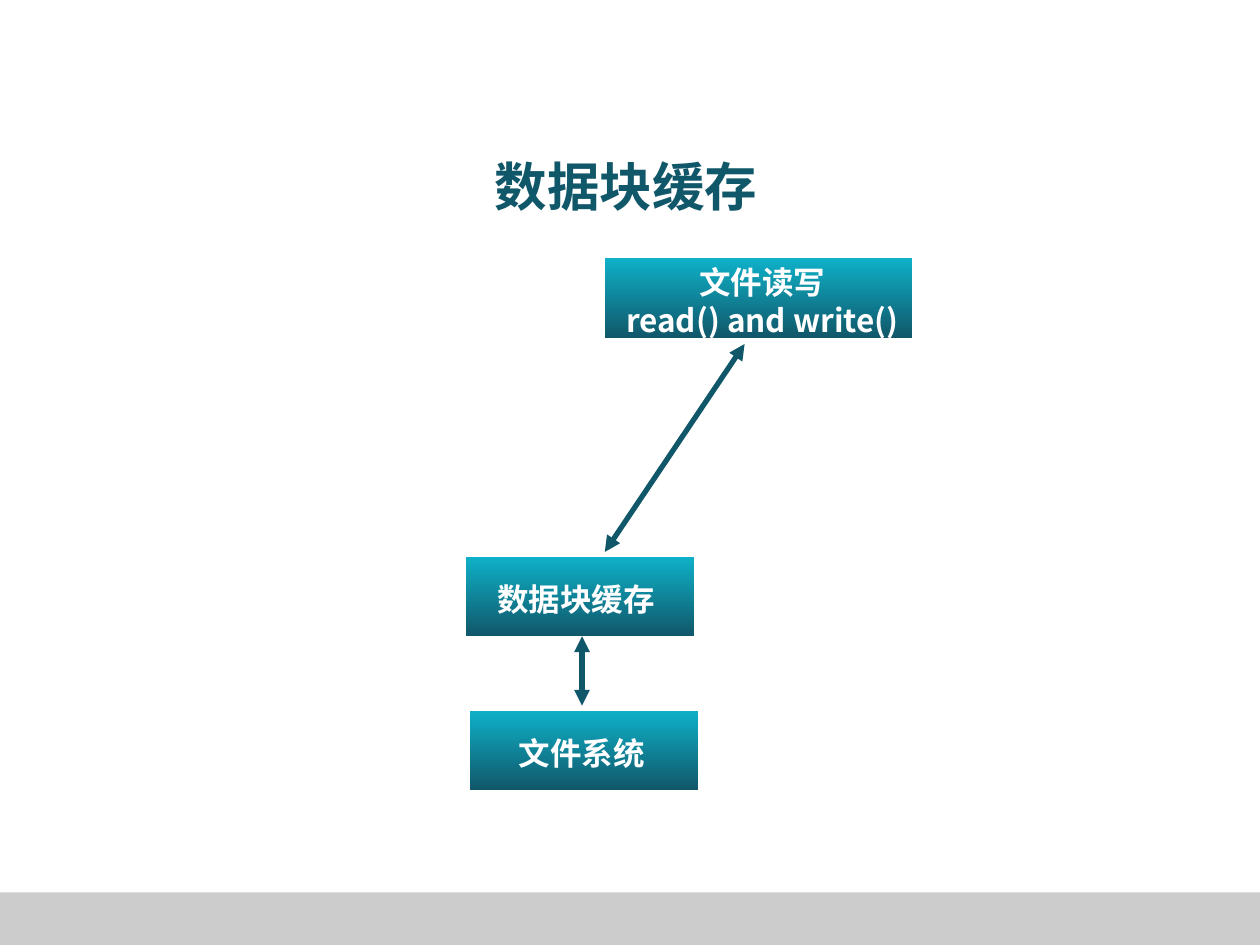
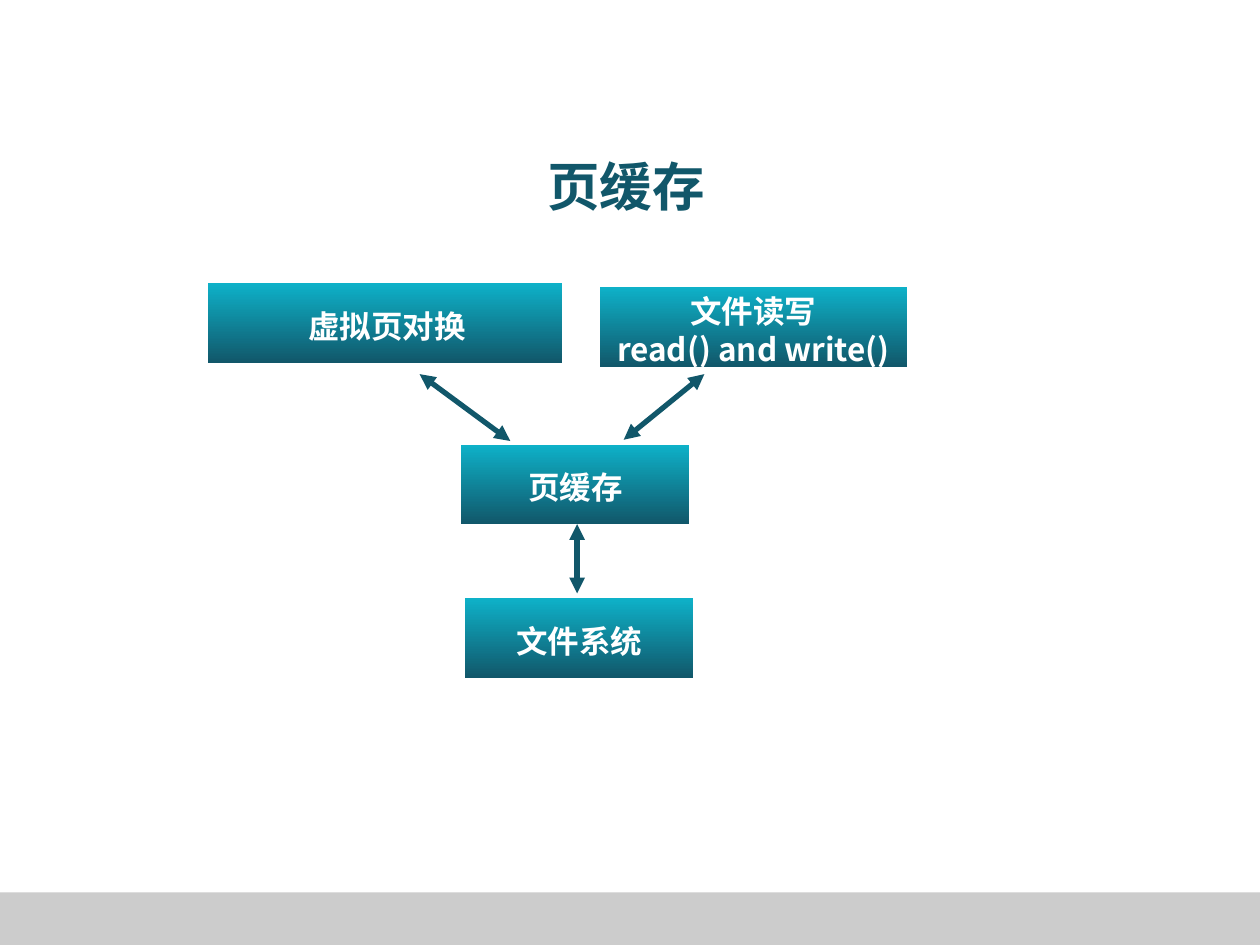
"""Two slides on where the block cache and the page cache sit above the file system."""
import pptx
import pptx.dml.color
import pptx.enum.shapes
import pptx.enum.text
import pptx.oxml
import pptx.oxml.ns
import pptx.util
from lxml import etree

Pt = pptx.util.Pt
FONT = "Noto Sans CJK SC"
COLORS = {"aqua": "0EB1C8", "teal": "11576A", "band": "CCCCCC", "white": "FFFFFF"}
BOX_HEIGHT = 45.4
NARROW, MEDIUM, WIDE = 130.3, 175.7, 202.3
LINE_PITCH = 21.7
READ_WRITE = "文件读写\nread() and write()"

SLIDES = [
    {
        "title": "数据块缓存",
        "boxes": [
            (345.6, 147.6, MEDIUM, READ_WRITE, 2.2),
            (268.6, 406.1, NARROW, "文件系统", -1.4),
            (266.4, 318.2, NARROW, "数据块缓存", -2.5),
        ],
        "arrows": [(332.6, 363.6, 332.6, 403.2), (425.5, 196.6, 345.6, 315.4)],
    },
    {
        "title": "页缓存",
        "boxes": [
            (118.8, 162, WIDE, "虚拟页对换", 1.1),
            (342.7, 164.2, MEDIUM, READ_WRITE, 0),
            (265.7, 342, NARROW, "文件系统", 0),
            (263.5, 254.2, NARROW, "页缓存", 0.3),
        ],
        "arrows": [
            (329.8, 299.5, 329.8, 339.1),
            (239.8, 213.8, 291.6, 252),
            (356.4, 251.3, 402.5, 213.8),
        ],
    },
]


def rgb(name):
    """Look up a palette colour."""
    return pptx.dml.color.RGBColor.from_string(COLORS[name])


def add_rect(s, left, top, width, height):
    """Add a rectangle without outline or shadow."""
    sp = s.shapes.add_shape(
        pptx.enum.shapes.MSO_SHAPE.RECTANGLE, Pt(left), Pt(top), Pt(width), Pt(height))
    sp.shadow.inherit = False
    sp.line.fill.background()
    return sp


def add_text(s, left, top, width, height, text, size, color, wrap=True):
    """Add a centred bold text box and return its text frame."""
    tf = s.shapes.add_textbox(Pt(left), Pt(top), Pt(width), Pt(height)).text_frame
    tf.text = text
    tf.word_wrap = wrap
    tf.vertical_anchor = pptx.enum.text.MSO_ANCHOR.MIDDLE
    for p in tf.paragraphs:
        p.alignment = pptx.enum.text.PP_ALIGN.CENTER
        for r in p.runs:
            r.font.size = Pt(size)
            r.font.bold = True
            r.font.color.rgb = rgb(color)
            r.font.name = FONT
            ea = etree.SubElement(r.font._element, pptx.oxml.ns.qn("a:ea"))
            ea.set("typeface", FONT)
    return tf


def add_box(s, left, top, width, text, shift):
    """Add a gradient box with its label, shifted sideways from the centre."""
    fill = add_rect(s, left, top, width, BOX_HEIGHT).fill
    fill.gradient()
    fill.gradient_angle = 270
    for stop, color in zip(fill.gradient_stops, ("aqua", "teal")):
        stop.color.rgb = rgb(color)
    lines = text.split("\n")
    label_width = max(MEDIUM if len(lines) > 1 else 0, 18 * len(lines[0]) + 15)
    label_height = LINE_PITCH * len(lines) + 7.2
    tf = add_text(s, left + (width - label_width) / 2 + shift,
                  top + (BOX_HEIGHT - label_height) / 2,
                  label_width, label_height, text, 18, "white", wrap=False)
    tf.vertical_anchor = pptx.enum.text.MSO_ANCHOR.TOP
    tf.margin_top = Pt(5)
    for p in tf.paragraphs:
        p.line_spacing = Pt(LINE_PITCH)


def add_arrow(s, x1, y1, x2, y2):
    """Add a line with an arrowhead at both ends."""
    line = s.shapes.add_connector(
        pptx.enum.shapes.MSO_CONNECTOR.STRAIGHT, Pt(x1), Pt(y1), Pt(x2), Pt(y2))
    line.line.width = Pt(3)
    line.line.color.rgb = rgb("teal")
    ln = line.line._get_or_add_ln()
    for end in ("a:headEnd", "a:tailEnd"):
        etree.SubElement(ln, pptx.oxml.ns.qn(end)).set("type", "triangle")
    etree.SubElement(line._element.spPr, pptx.oxml.ns.qn("a:effectLst"))


def add_slide(prs, title, boxes, arrows):
    """Add one diagram slide with footer band and title."""
    s = prs.slides.add_slide(prs.slide_layouts[6])
    band = add_rect(s, 0, 510, 720, 30)
    band.fill.solid()
    band.fill.fore_color.rgb = rgb("band")
    for box in boxes:
        add_box(s, *box)
    for arrow in arrows:
        add_arrow(s, *arrow)
    add_text(s, 33.8, 85.7, 648, 40.3, title, 30, "teal")


def main():
    """Build and save the presentation."""
    prs = pptx.Presentation()
    prs.slide_width, prs.slide_height = Pt(720), Pt(540)
    for slide in SLIDES:
        add_slide(prs, **slide)
    prs.save("out.pptx")


if __name__ == "__main__":
    main()
